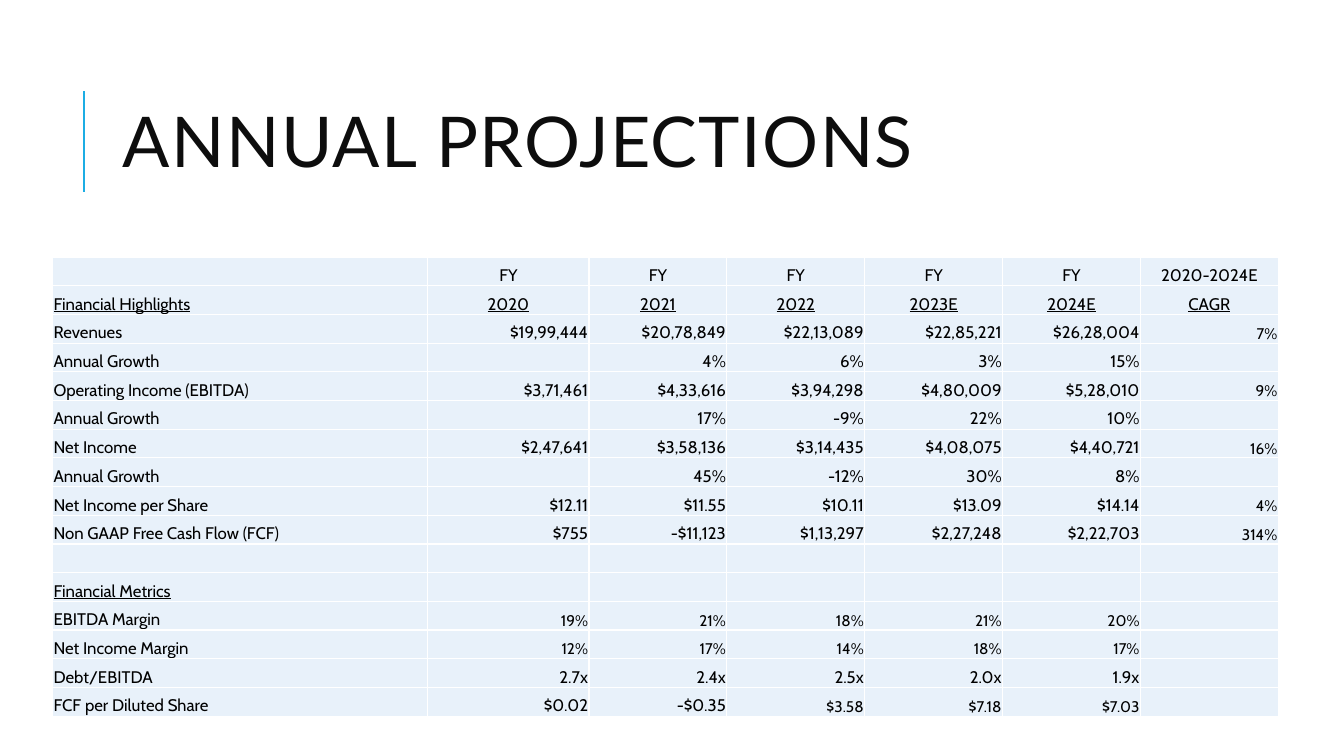
from lxml.etree import SubElement
from pptx import Presentation
from pptx.dml.color import RGBColor
from pptx.enum.shapes import MSO_CONNECTOR
from pptx.enum.text import MSO_ANCHOR, PP_ALIGN
from pptx.oxml.ns import qn
from pptx.util import Inches, Pt

SLIDE_WIDTH, SLIDE_HEIGHT = Inches(13.33), Inches(7.5)
GRID_COLUMNS, GRID_ROWS = 128, 75

ACCENT = RGBColor(0x1C, 0xAD, 0xE4)
TITLE_INK = RGBColor(0x0D, 0x0D, 0x0D)
TABLE_INK = RGBColor(0x00, 0x00, 0x00)
CELL_BLUE = RGBColor(0xE8, 0xF1, 0xFA)
BORDER_WHITE = RGBColor(0xFF, 0xFF, 0xFF)

COLUMN_SPANS = [35.75, 15.35] + [13.13] * 5
ROW_SPAN = 2.85
HEADER_ROWS = 2
CAGR_COLUMN = 6
SECTIONS = ("Financial Highlights", "Financial Metrics")
MARGINS = ("EBITDA Margin", "Net Income Margin")

PROJECTIONS = [
    ("", "FY", "FY", "FY", "FY", "FY", "2020-2024E"),
    ("Financial Highlights", "2020", "2021", "2022", "2023E", "2024E", "CAGR"),
    ("Revenues", "$19,99,444", "$20,78,849", "$22,13,089", "$22,85,221", "$26,28,004", "7%"),
    ("Annual Growth", "", "4%", "6%", "3%", "15%", ""),
    ("Operating Income (EBITDA)", "$3,71,461", "$4,33,616", "$3,94,298", "$4,80,009", "$5,28,010", "9%"),
    ("Annual Growth", "", "17%", "-9%", "22%", "10%", ""),
    ("Net Income", "$2,47,641", "$3,58,136", "$3,14,435", "$4,08,075", "$4,40,721", "16%"),
    ("Annual Growth", "", "45%", "-12%", "30%", "8%", ""),
    ("Net Income per Share", "$12.11", "$11.55", "$10.11", "$13.09", "$14.14", "4%"),
    ("Non GAAP Free Cash Flow (FCF)", "$755", "-$11,123", "$1,13,297", "$2,27,248", "$2,22,703", "314%"),
    ("", "", "", "", "", "", ""),
    ("Financial Metrics", "", "", "", "", "", ""),
    ("EBITDA Margin", "19%", "21%", "18%", "21%", "20%", ""),
    ("Net Income Margin", "12%", "17%", "14%", "18%", "17%", ""),
    ("Debt/EBITDA", "2.7x", "2.4x", "2.5x", "2.0x", "1.9x", ""),
    ("FCF per Diluted Share", "$0.02", "-$0.35", "$3.58", "$7.18", "$7.03", ""),
]


def across(columns):
    return round(SLIDE_WIDTH * columns / GRID_COLUMNS)


def down(rows):
    return round(SLIDE_HEIGHT * rows / GRID_ROWS)


def style_run(run, font_name, size, color):
    run.font.name = font_name
    run.font.size = Pt(size)
    run.font.color.rgb = color


def add_accent_line(slide, column, top, bottom):
    accent = slide.shapes.add_connector(
        MSO_CONNECTOR.STRAIGHT, across(column), down(bottom), across(column), down(top))
    accent.line.color.rgb = ACCENT
    accent.line.width = Pt(1.5)
    SubElement(accent.element.spPr, qn("a:effectLst"))


def add_title(slide, wording):
    title = slide.shapes.add_textbox(across(10.75), down(6.4), across(102), down(16.4))
    frame = title.text_frame
    frame.word_wrap = True
    frame.vertical_anchor = MSO_ANCHOR.MIDDLE
    frame.text = wording
    heading = frame.paragraphs[0]
    heading.line_spacing = 0.8
    style_run(heading.runs[0], "Lato", 50, TITLE_INK)
    heading.runs[0].font.element.set("spc", "100") if hasattr(heading.runs[0].font, "element") \
        else heading.runs[0]._r.get_or_add_rPr().set("spc", "100")


def draw_borders(cell):
    properties = cell._tc.get_or_add_tcPr()
    for position, side in enumerate(("a:lnL", "a:lnR", "a:lnT", "a:lnB")):
        border = SubElement(properties, qn(side), w=str(Pt(1)))
        SubElement(SubElement(border, qn("a:solidFill")), qn("a:srgbClr"), val=str(BORDER_WHITE))
        properties.insert(position, border)


def text_size(label, column, row):
    small_growth = column == CAGR_COLUMN and row >= HEADER_ROWS
    small_margin = column > 0 and label in MARGINS
    small_share = column >= 3 and label == "FCF per Diluted Share"
    return 11 if small_growth or small_margin or small_share else 12


def alignment(column, row):
    if column == 0:
        return PP_ALIGN.LEFT
    return PP_ALIGN.CENTER if row < HEADER_ROWS else PP_ALIGN.RIGHT


def fill_cell(cell, wording, label, column, row):
    cell.fill.solid()
    cell.fill.fore_color.rgb = CELL_BLUE
    cell.vertical_anchor = MSO_ANCHOR.BOTTOM
    cell.margin_left = cell.margin_right = cell.margin_top = Inches(0.01)
    cell.margin_bottom = 0
    draw_borders(cell)
    entry = cell.text_frame.paragraphs[0]
    entry.alignment = alignment(column, row)
    size = text_size(label, column, row)
    if not wording:
        SubElement(entry._p, qn("a:endParaRPr"), sz=str(size * 100))
        return
    entry.text = wording
    style_run(entry.runs[0], "Cabin", size, TABLE_INK)
    entry.runs[0].font.underline = wording in SECTIONS or row == HEADER_ROWS - 1


def add_projections(slide):
    frame = slide.shapes.add_table(
        len(PROJECTIONS), len(COLUMN_SPANS), across(5), down(25.5),
        across(sum(COLUMN_SPANS)), down(ROW_SPAN * len(PROJECTIONS)))
    table = frame.table
    table.first_row = table.horz_banding = False
    for table_column, span in zip(table.columns, COLUMN_SPANS):
        table_column.width = across(span)
    for row, entries in enumerate(PROJECTIONS):
        table.rows[row].height = down(ROW_SPAN)
        for column, wording in enumerate(entries):
            fill_cell(table.cell(row, column), wording, entries[0], column, row)


def main():
    presentation = Presentation()
    presentation.slide_width, presentation.slide_height = SLIDE_WIDTH, SLIDE_HEIGHT
    slide = presentation.slides.add_slide(presentation.slide_layouts[6])
    add_accent_line(slide, 8, 9, 19)
    add_title(slide, "ANNUAL PROJECTIONS")
    add_projections(slide)
    presentation.save("out.pptx")


if __name__ == "__main__":
    main()
